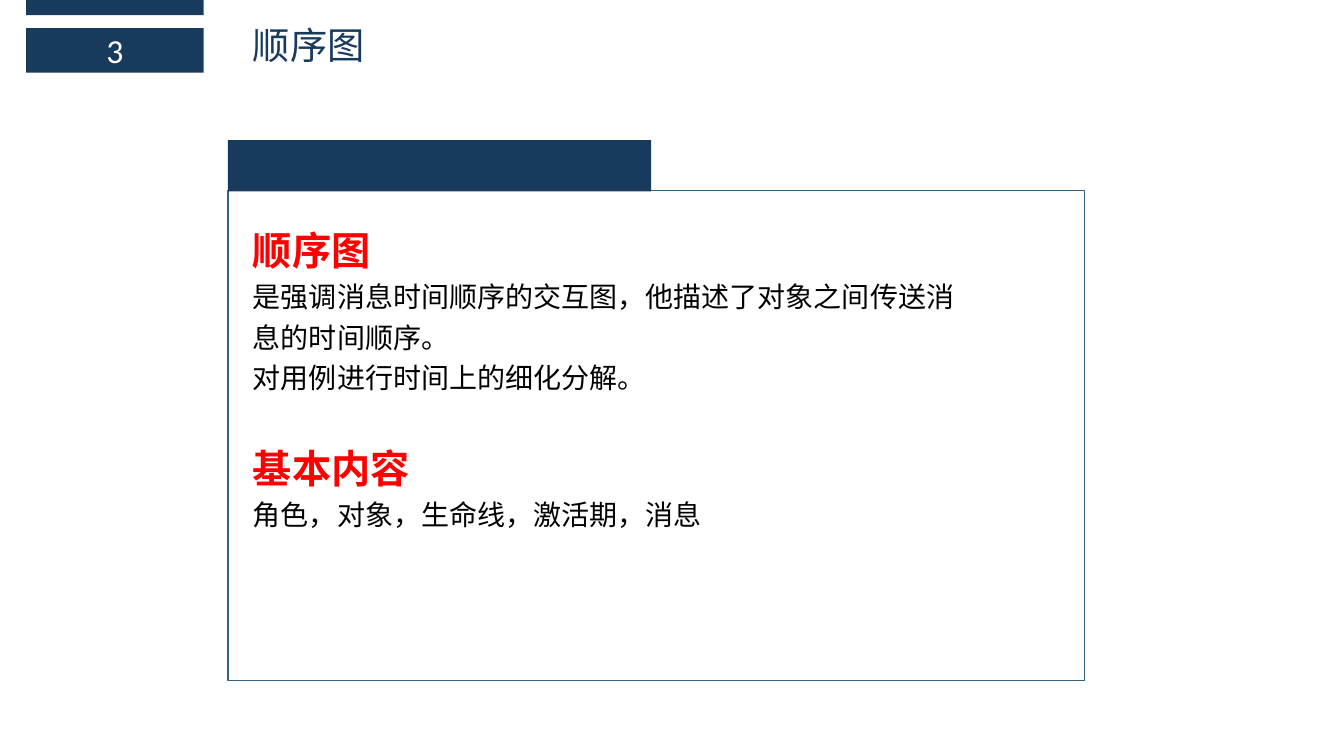
from lxml.etree import SubElement
from pptx import Presentation
from pptx.dml.color import RGBColor
from pptx.enum.shapes import MSO_SHAPE
from pptx.enum.text import MSO_ANCHOR, PP_ALIGN
from pptx.oxml.ns import qn
from pptx.util import Inches, Pt

COLORS = {"navy": "183A5D", "outline": "346182", "heading": "FF0000",
          "body": "000000", "white": "FFFFFF"}
PAGE_NUMBER = "3"
TITLE = "顺序图"
SECTIONS = [
    ("顺序图", ["是强调消息时间顺序的交互图，他描述了对象之间传送消息的时间顺序。",
             "对用例进行时间上的细化分解。"]),
    ("基本内容", ["角色，对象，生命线，激活期，消息"]),
]
MARKER_LEFT, MARKER_WIDTH = 0.26, 1.76
CARD_LEFT, CARD_TOP, TEXT_LEFT = 2.26, 1.89, 2.41
SECTION_GAP = 29


def add_rectangle(shapes, left, top, width, height, fill=None, line=None):
    shape = shapes.add_shape(MSO_SHAPE.RECTANGLE, Inches(left), Inches(top),
                             Inches(width), Inches(height))
    shape.shadow.inherit = False
    if fill:
        shape.fill.solid()
        shape.fill.fore_color.rgb = RGBColor.from_string(COLORS[fill])
    else:
        shape.fill.background()
    if line:
        shape.line.color.rgb = RGBColor.from_string(COLORS[line])
        shape.line.width = Pt(1)
    else:
        shape.line.fill.background()
    return shape


def add_text_box(slide, left, top, width, height):
    box = slide.shapes.add_textbox(Inches(left), Inches(top), Inches(width), Inches(height))
    box.text_frame.word_wrap = True
    return box.text_frame


def write(paragraph, text, size, color, bold=False, font="Calibri",
          align=PP_ALIGN.LEFT, spacing=None, before=0):
    paragraph.alignment = align
    paragraph.space_before = Pt(before)
    if spacing:
        paragraph.line_spacing = spacing
    run = paragraph.add_run()
    run.text = text
    run.font.size = Pt(size)
    run.font.bold = bold
    run.font.name = font
    run.font.color.rgb = RGBColor.from_string(COLORS[color])
    # Chinese glyphs take the East Asian typeface, whose metrics set the line height
    SubElement(run.font._element, qn("a:ea")).set("typeface", "Calibri")


def add_header(slide):
    add_rectangle(slide.shapes, MARKER_LEFT, 0, MARKER_WIDTH, 0.15, fill="navy")
    marker = add_rectangle(slide.shapes, MARKER_LEFT, 0.28, MARKER_WIDTH, 0.44, fill="navy")
    marker.text_frame.vertical_anchor = MSO_ANCHOR.MIDDLE
    write(marker.text_frame.paragraphs[0], PAGE_NUMBER, 24, "white", align=PP_ALIGN.CENTER)
    title = add_text_box(slide, TEXT_LEFT, 0.17, 6.62, 0.55)
    write(title.paragraphs[0], TITLE, 26.6, "navy", font="Noto Sans CJK SC")


def add_card(slide):
    card = slide.shapes.add_group_shape()
    add_rectangle(card.shapes, CARD_LEFT, CARD_TOP, 8.5, 4.86, line="outline")
    add_rectangle(card.shapes, CARD_LEFT, CARD_TOP - 0.5, 4.2, 0.51, fill="navy")
    frame = add_text_box(slide, TEXT_LEFT, 2.1, 7.35, 3.25)
    for index, (heading, lines) in enumerate(SECTIONS):
        paragraph = frame.add_paragraph() if index else frame.paragraphs[0]
        write(paragraph, heading, 28, "heading", bold=True, spacing=1.2,
              before=SECTION_GAP if index else 0)
        for line in lines:
            write(frame.add_paragraph(), line, 20, "body", spacing=1.2)


def main():
    presentation = Presentation()
    presentation.slide_width, presentation.slide_height = Inches(13.33), Inches(7.5)
    slide = presentation.slides.add_slide(presentation.slide_layouts[6])
    add_header(slide)
    add_card(slide)
    presentation.save("out.pptx")


if __name__ == "__main__":
    main()
